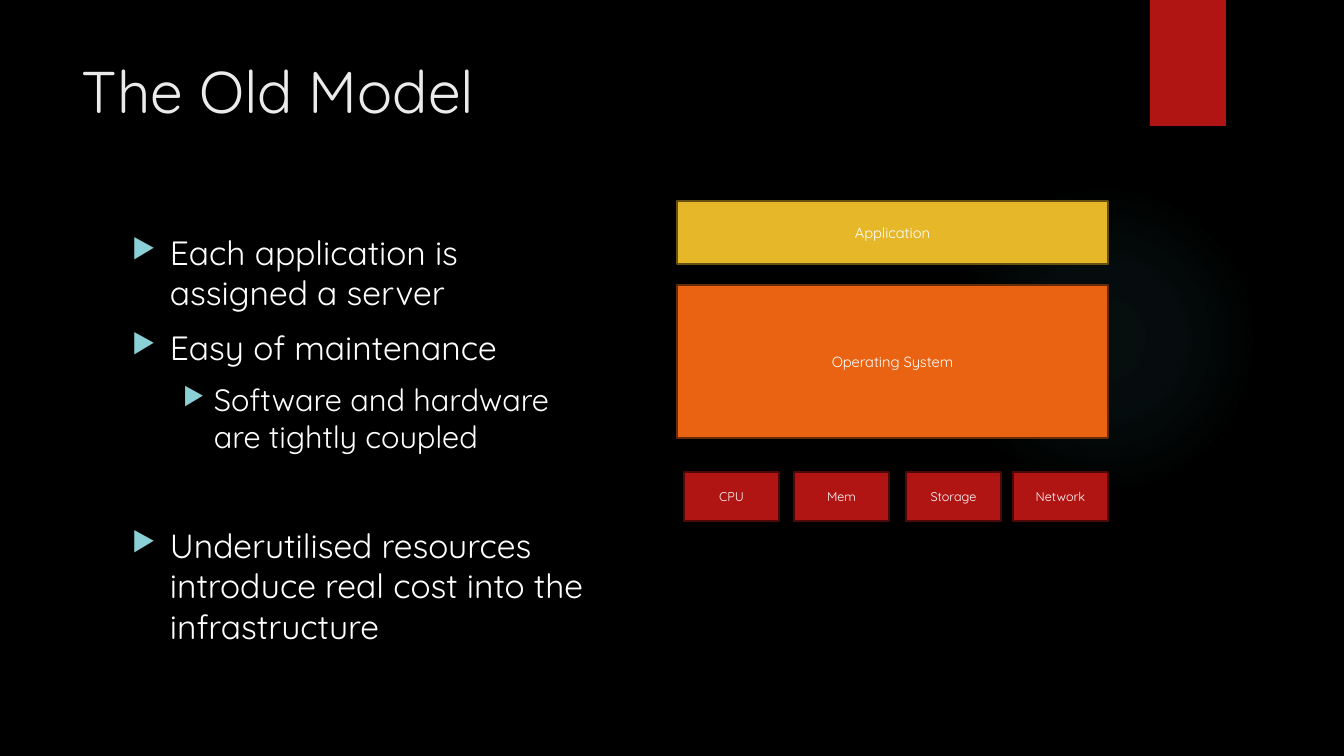
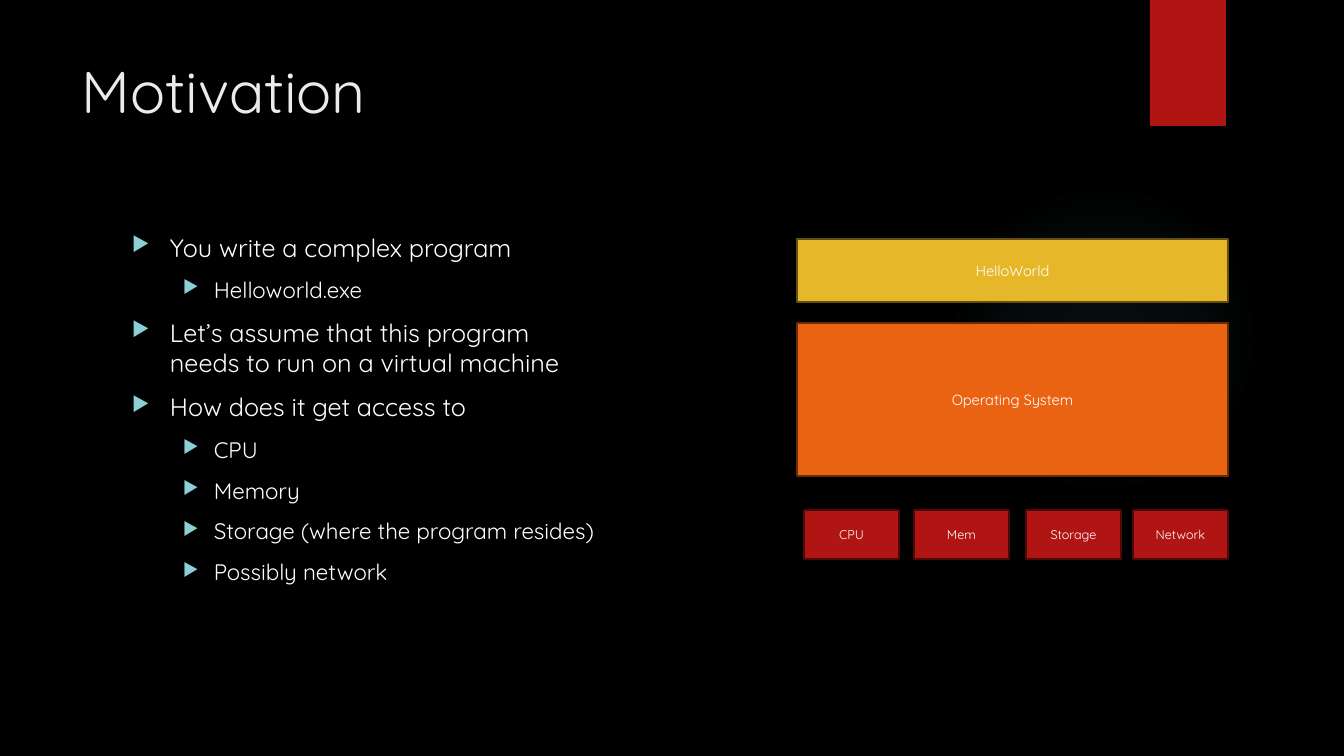
from dataclasses import dataclass

from lxml import etree
from pptx import Presentation
from pptx.dml.color import RGBColor
from pptx.enum.shapes import MSO_SHAPE
from pptx.enum.text import MSO_ANCHOR, PP_ALIGN
from pptx.oxml import parse_xml
from pptx.oxml.ns import qn
from pptx.util import Pt

RECT, OVAL = MSO_SHAPE.RECTANGLE, MSO_SHAPE.OVAL
TOP, MIDDLE = MSO_ANCHOR.TOP, MSO_ANCHOR.MIDDLE
LEFT, CENTER = PP_ALIGN.LEFT, PP_ALIGN.CENTER
EMU_PER_PX = 914400 / 100.8
DRAWING_NS = "http://schemas.openxmlformats.org/drawingml/2006/main"


@dataclass(frozen=True)
class Theme:
    font: str = "Quicksand"
    background: str = "000000"
    title: str = "EBEBEB"
    text: str = "FFFFFF"
    bullet: str = "8AD0D6"
    glow: str = "50B9C1"
    red: str = "B01513"
    red_edge: str = "4D0908"
    orange: str = "EA6312"
    orange_edge: str = "672B08"
    yellow: str = "E6B729"
    yellow_edge: str = "655012"
    title_size: float = 42
    layer_size: float = 10.5
    resource_size: float = 9
    edge_width: float = 1.5
    bullet_gap: float = 10


THEME = Theme()
# (left margin, hanging indent) in px for each bullet level
INDENTS = [(38, 38), (82, 31)]
# (label, offset from the left of the stack) in px
RESOURCES = [("CPU", 7), ("Mem", 117), ("Storage", 229), ("Network", 336)]


def px(length):
    return round(length * EMU_PER_PX)


def rgb(color):
    return RGBColor.from_string(color)


def write_text(paragraph, text, size, color=THEME.text, align=LEFT, before=0):
    paragraph.alignment = align
    paragraph.space_before = Pt(before)
    run = paragraph.add_run()
    run.text = text
    run.font.name = THEME.font
    run.font.size = Pt(size)
    run.font.color.rgb = rgb(color)


class Deck:
    def __init__(self):
        self.prs = Presentation()
        self.prs.slide_width, self.prs.slide_height = px(1344), px(756)
        self.slide = None

    def new_slide(self, title):
        self.slide = self.prs.slides.add_slide(self.prs.slide_layouts[6])
        backdrop = self.slide.background.fill
        backdrop.solid()
        backdrop.fore_color.rgb = rgb(THEME.background)
        self.glow(949, 184, 310)
        self.box(self.slide.shapes, (1150, 0, 76, 126), THEME.red)
        heading = self.text_frame(72, 50, 1037, 154)
        write_text(heading.paragraphs[0], title, THEME.title_size, color=THEME.title)

    def text_frame(self, left, top, width, height):
        frame = self.slide.shapes.add_textbox(px(left), px(top), px(width), px(height)).text_frame
        frame.word_wrap = True
        frame.vertical_anchor = TOP
        return frame

    def glow(self, left, top, size):
        """Faint round light that fades out towards its rim."""
        light = self.slide.shapes.add_shape(OVAL, px(left), px(top), px(size), px(size))
        light.shadow.inherit = False
        light.line.fill.background()
        stops = "".join(
            f'<a:gs pos="{pos}000"><a:srgbClr val="{THEME.glow}">'
            f'<a:alpha val="{alpha}000"/></a:srgbClr></a:gs>'
            for pos, alpha in [(0, 7), (36, 6), (69, 0)]
        )
        gradient = parse_xml(
            f'<a:gradFill xmlns:a="{DRAWING_NS}"><a:gsLst>{stops}</a:gsLst><a:path path="circle">'
            '<a:fillToRect l="50000" t="50000" r="50000" b="50000"/></a:path></a:gradFill>'
        )
        light.element.spPr.find(qn("a:prstGeom")).addnext(gradient)

    def box(self, shapes, place, fill, edge=None, label=None, size=THEME.layer_size):
        rect = shapes.add_shape(RECT, *map(px, place))
        rect.shadow.inherit = False
        rect.fill.solid()
        rect.fill.fore_color.rgb = rgb(fill)
        if edge:
            rect.line.color.rgb = rgb(edge)
            rect.line.width = Pt(THEME.edge_width)
        else:
            rect.line.fill.background()
        if label:
            rect.text_frame.word_wrap = True
            rect.text_frame.vertical_anchor = MIDDLE
            write_text(rect.text_frame.paragraphs[0], label, size, align=CENTER)

    def bullets(self, items, sizes):
        """Items are (level, text) or (level, text, space before)."""
        frame = self.text_frame(122, 227, 485, 463)
        for index, (level, text, *gap) in enumerate(items):
            paragraph = frame.add_paragraph() if index else frame.paragraphs[0]
            paragraph.level = level
            before = gap[0] if gap else THEME.bullet_gap
            write_text(paragraph, text, sizes[level], before=before)
            margin, hanging = INDENTS[level]
            props = paragraph._p.get_or_add_pPr()
            props.set("marL", str(px(margin)))
            props.set("indent", str(-px(hanging)))
            color = etree.SubElement(props, qn("a:buClr"))
            etree.SubElement(color, qn("a:srgbClr"), val=THEME.bullet)
            etree.SubElement(props, qn("a:buSzPct"), val="80000")
            etree.SubElement(props, qn("a:buChar"), char="▶")

    def server_stack(self, left, top, program):
        """Program above operating system above hardware resources."""
        shapes = self.slide.shapes.add_group_shape().shapes
        for name, offset in RESOURCES:
            self.box(shapes, (left + offset, top + 271, 95, 49), THEME.red,
                     THEME.red_edge, name, THEME.resource_size)
        self.box(shapes, (left, top + 84, 431, 153), THEME.orange,
                 THEME.orange_edge, "Operating System")
        self.box(shapes, (left, top, 431, 63), THEME.yellow, THEME.yellow_edge, program)


def main():
    deck = Deck()

    # One application per server
    deck.new_slide("The Old Model")
    deck.bullets([
        (0, "Each application is assigned a server"),
        (0, "Easy of maintenance"),
        (1, "Software and hardware are tightly coupled"),
        (0, "Underutilised resources introduce real cost into the infrastructure", 50),
    ], sizes=(24, 22))
    deck.server_stack(677, 201, "Application")

    # A program and the resources it needs
    deck.new_slide("Motivation")
    deck.bullets([
        (0, "You write a complex program"),
        (1, "Helloworld.exe"),
        (0, "Let’s assume that this program needs to run on a virtual machine"),
        (0, "How does it get access to"),
        (1, "CPU"),
        (1, "Memory"),
        (1, "Storage (where the program resides)"),
        (1, "Possibly network"),
    ], sizes=(18, 16))
    deck.server_stack(797, 239, "HelloWorld")

    deck.prs.save("out.pptx")


if __name__ == "__main__":
    main()
